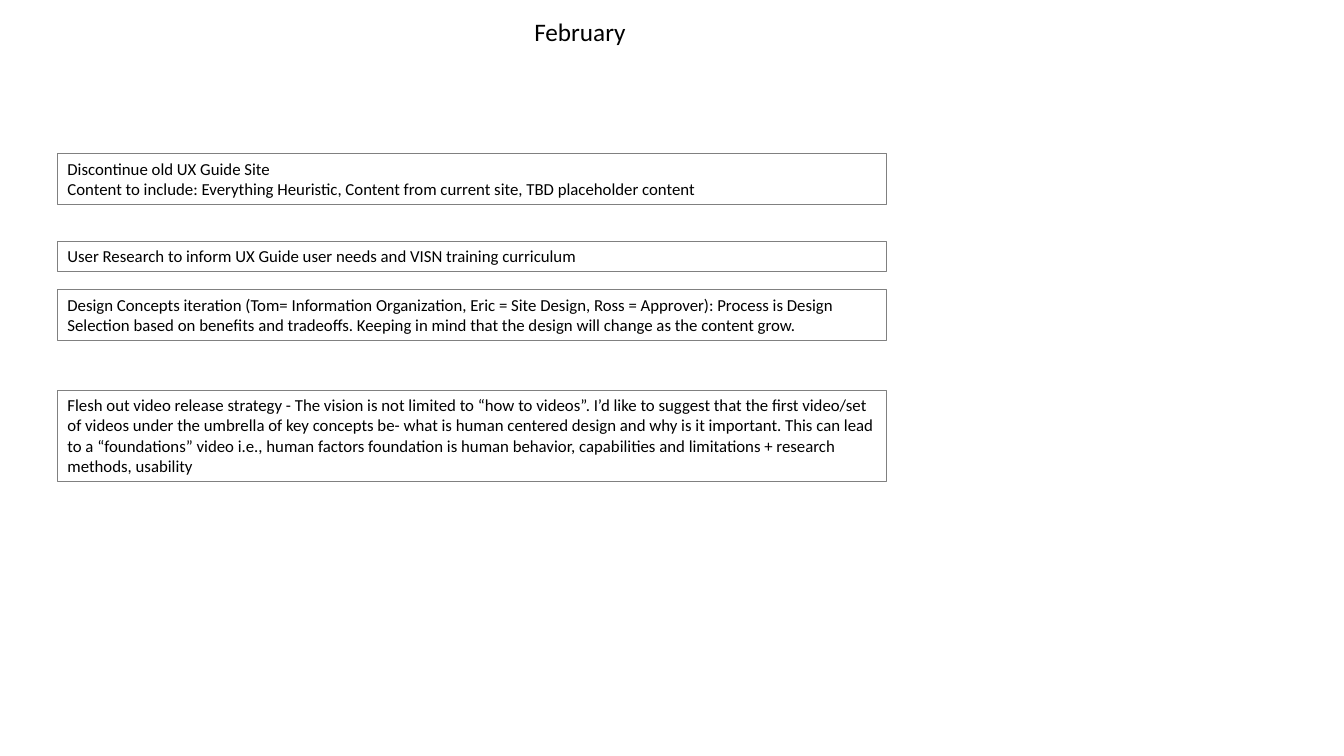
from pptx import Presentation
from pptx.dml.color import RGBColor
from pptx.enum.shapes import MSO_SHAPE
from pptx.enum.text import MSO_ANCHOR, MSO_AUTO_SIZE, PP_ALIGN
from pptx.util import Cm, Pt

COLORS = {"text": "000000", "border": "808080"}
FONT = "Calibri"
TASK_LEFT, TASK_WIDTH = Cm(1.45), Cm(20.9)

TASKS = [
    (7.29, 1.28, [
        "Design Concepts iteration (Tom= Information Organization, Eric = Site Design, "
        "Ross = Approver): Process is Design Selection based on benefits and tradeoffs. "
        "Keeping in mind that the design will change as the content grow.",
    ]),
    (6.08, 0.77, ["User Research to inform UX Guide user needs and VISN training curriculum"]),
    (3.87, 1.28, [
        "Discontinue old UX Guide Site",
        "Content to include: Everything Heuristic, Content from current site, "
        "TBD placeholder content",
    ]),
    (9.83, 2.31, [
        "Flesh out video release strategy - The vision is not limited to “how to videos”. "
        "I’d like to suggest that the first video/set of videos under the umbrella of key "
        "concepts be- what is human centered design and why is it important. This can lead "
        "to a “foundations” video i.e., human factors foundation is human behavior, "
        "capabilities and limitations + research methods, usability",
    ]),
]


def write_text(tf, lines, size):
    tf.vertical_anchor = MSO_ANCHOR.TOP
    tf.auto_size = MSO_AUTO_SIZE.SHAPE_TO_FIT_TEXT
    tf.text = "\n".join(lines)
    for p in tf.paragraphs:
        p.alignment = PP_ALIGN.LEFT
        p.font.name = FONT
        p.font.size = Pt(size)
        p.font.color.rgb = RGBColor.from_string(COLORS["text"])


prs = Presentation()
prs.slide_width, prs.slide_height = Cm(33.87), Cm(19.05)
s = prs.slides.add_slide(prs.slide_layouts[5])

title = s.shapes.title
title.left, title.top, title.width, title.height = Cm(13.21), Cm(0.28), Cm(3), Cm(1.02)
title.text_frame.word_wrap = False
write_text(title.text_frame, ["February"], 18)

for top, height, lines in TASKS:
    sp = s.shapes.add_shape(MSO_SHAPE.RECTANGLE, TASK_LEFT, Cm(top), TASK_WIDTH, Cm(height))
    sp.shadow.inherit = False
    sp.fill.background()
    sp.line.color.rgb = RGBColor.from_string(COLORS["border"])
    sp.line.width = Pt(0.75)
    sp.text_frame.word_wrap = True
    write_text(sp.text_frame, lines, 12)

prs.save("out.pptx")
